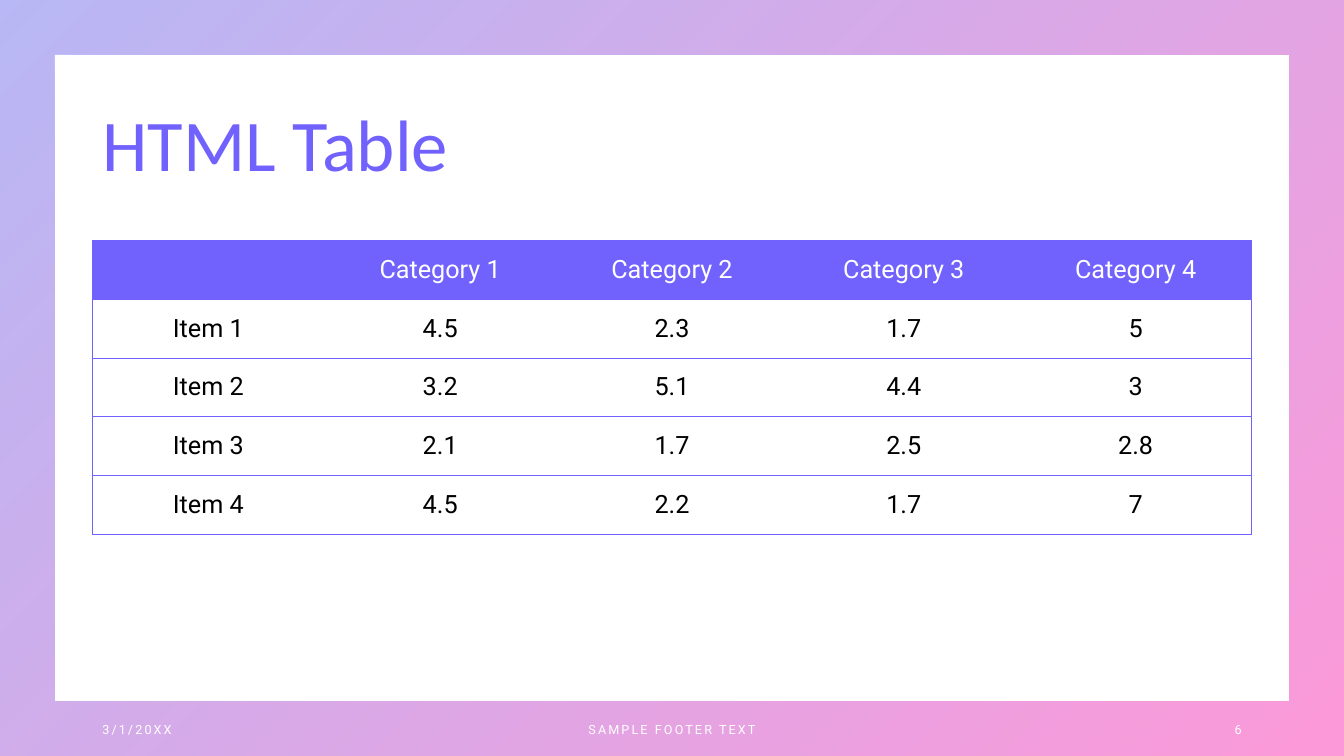
from lxml.etree import SubElement
from pptx import Presentation
from pptx.dml.color import RGBColor as RGB
from pptx.enum.shapes import MSO_SHAPE as SHAPE
from pptx.enum.text import MSO_ANCHOR as ANCHOR, PP_ALIGN as ALIGN
from pptx.oxml.ns import qn
from pptx.util import Cm, Pt

INK = {"main": "7162FE", "start": "4D4EE6", "end": "F900A0",
       "light": "FFFFFF", "dark": "000000"}
ROWS = [
    ["", "Category 1", "Category 2", "Category 3", "Category 4"],
    ["Item 1", "4.5", "2.3", "1.7", "5"],
    ["Item 2", "3.2", "5.1", "4.4", "3"],
    ["Item 3", "2.1", "1.7", "2.5", "2.8"],
    ["Item 4", "4.5", "2.2", "1.7", "7"],
]


def tint(name):
    """Return the named colour."""
    return RGB.from_string(INK[name])


def style(para, size, color, face="Roboto", align=ALIGN.LEFT):
    """Set the font and alignment of a paragraph."""
    para.alignment = align
    para.font.size, para.font.name = Pt(size), face
    para.font.bold = False
    para.font.color.rgb = tint(color)


def write(slide, box, text, size, color, **look):
    """Add a one-line text box and return its paragraph."""
    frame = slide.shapes.add_textbox(*map(Cm, box)).text_frame
    frame.word_wrap = True
    frame.vertical_anchor = ANCHOR.MIDDLE
    para = frame.paragraphs[0]
    para.text = text
    style(para, size, color, **look)
    return para


def border(slide, box):
    """Draw the translucent gradient frame around the slide."""
    shape = slide.shapes.add_shape(SHAPE.FRAME, *map(Cm, box))
    shape.adjustments[0] = 0.072
    shape.shadow.inherit = False
    shape.line.fill.background()
    shape.fill.gradient()
    shape.fill.gradient_angle = 315
    for stop, name, pos in zip(shape.fill.gradient_stops, ("start", "end"), (0, 1)):
        stop.color.rgb = tint(name)
        stop.position = pos
    for color in shape._element.spPr.iter(qn("a:srgbClr")):
        SubElement(color, qn("a:alpha"), val="40000")


def edge(cell, sides):
    """Rule the given sides of a cell and clear the others."""
    props = cell._tc.get_or_add_tcPr()
    for spot, side in enumerate("LRTB"):
        line = SubElement(props, qn("a:ln" + side), w=str(Pt(0.5)))
        props.insert(spot, line)
        if side in sides:
            fill = SubElement(line, qn("a:solidFill"))
            SubElement(fill, qn("a:srgbClr"), val=INK["main"])
        else:
            SubElement(line, qn("a:noFill"))


def grid(slide, box, rows):
    """Fill the box with a table under a coloured header row."""
    last = len(rows[0]) - 1
    table = slide.shapes.add_table(len(rows), last + 1, *map(Cm, box)).table
    table.horz_banding = False
    for r, row in enumerate(rows):
        for c, text in enumerate(row):
            cell = table.cell(r, c)
            cell.text = text
            cell.vertical_anchor = ANCHOR.MIDDLE
            cell.fill.solid()
            cell.fill.fore_color.rgb = tint("light" if r else "main")
            style(cell.text_frame.paragraphs[0], 18, "dark" if r else "light",
                  align=ALIGN.CENTER)
            sides = "TB" + "L" * (c == 0 or r == 0) + "R" * (c == last or r == 0)
            edge(cell, sides)


def footer(slide, box):
    """Place date, footer text and page number across the box."""
    left, top, width, high = box
    side, mid = 7.62, 11.43
    parts = [
        ("3/1/20XX", left, side, ALIGN.LEFT),
        ("SAMPLE FOOTER TEXT", left + (width - mid) / 2, mid, ALIGN.CENTER),
        ("6", left + width - side, side, ALIGN.RIGHT),
    ]
    for text, x, wide, align in parts:
        para = write(slide, (x, top, wide, high), text, 9, "light", align=align)
        para.runs[0]._r.get_or_add_rPr().set("spc", "150")


def main():
    """Build and save the slide."""
    deck = Presentation()
    wide, high = 33.87, 19.05
    deck.slide_width, deck.slide_height = Cm(wide), Cm(high)
    slide = deck.slides.add_slide(deck.slide_layouts[6])
    left, span = 2.33, 29.21
    border(slide, (0, 0, wide, high))
    title = write(slide, (left, 1.88, span, 3.68), "HTML Table", 52, "main",
                  face="Calibri")
    title.line_spacing = 0.9
    grid(slide, (left, 6.05, span, 7.42), ROWS)
    footer(slide, (left, 17.86, span, 1.02))
    deck.save("out.pptx")


if __name__ == "__main__":
    main()
